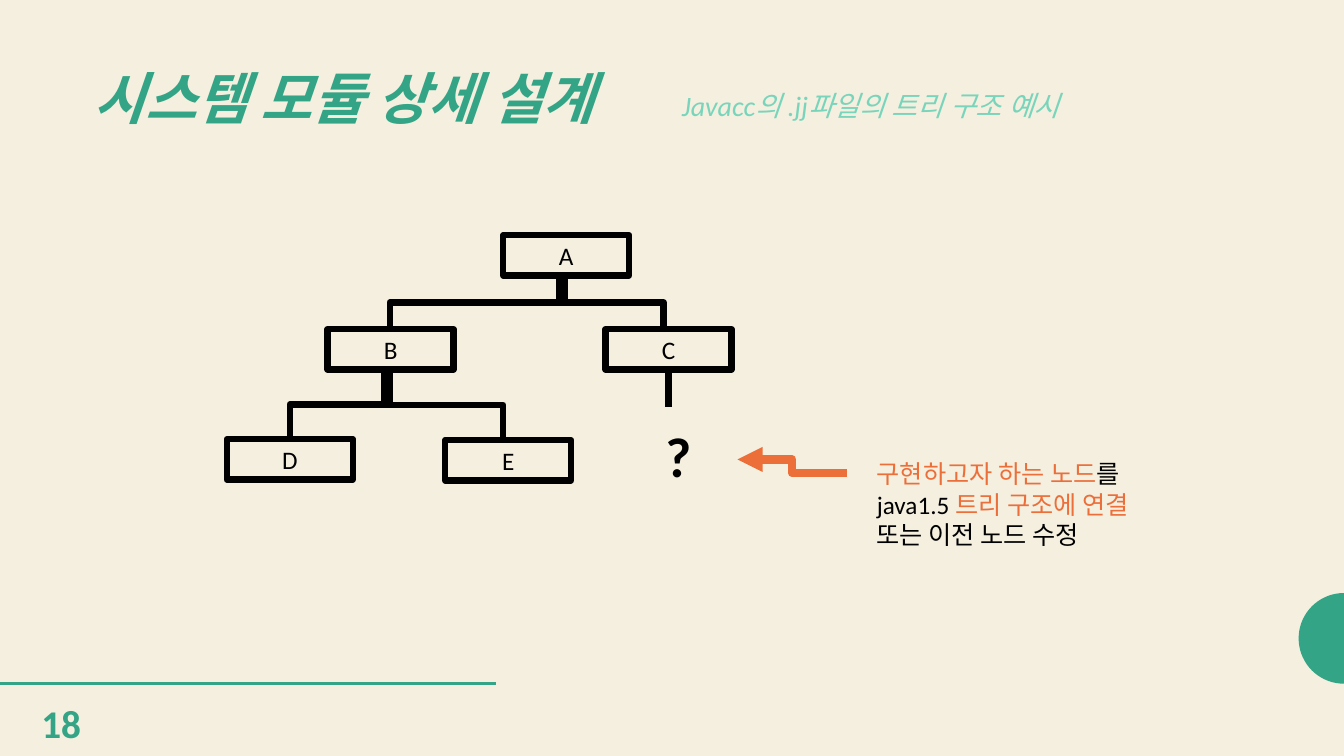
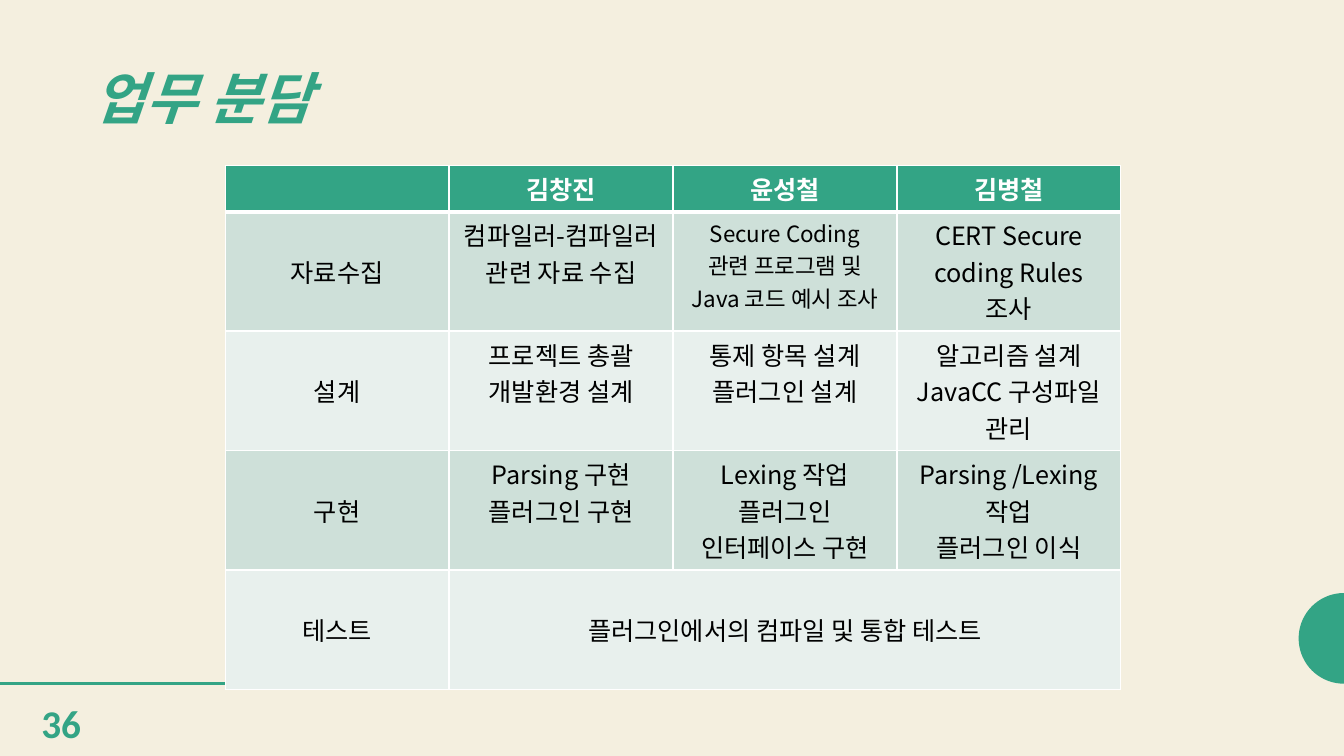
from math import cos, pi, sin

from lxml.etree import SubElement
from pptx import Presentation
from pptx.dml.color import RGBColor
from pptx.enum.shapes import MSO_CONNECTOR as Connector, MSO_SHAPE as Shape
from pptx.enum.text import MSO_ANCHOR as Anchor, PP_ALIGN as Align
from pptx.oxml.ns import qn
from pptx.util import Inches, Pt

COLUMNS, ROWS = 160, 90
UNIT = Inches(1) / 12
COLORS = {
    "paper": "F4EFDF", "green": "33A485", "mint": "78D5BB", "orange": "EC6E39",
    "black": "000000", "white": "FFFFFF", "band": "CEE0D9", "pale": "E8F0ED",
}
LATIN, KOREAN = "Calibri", "Noto Sans CJK KR"
NODE_WIDTH, NODE_HEIGHT = 15, 4.8
TREE_LINE = 4.5


def color(name):
    return RGBColor.from_string(COLORS[name])


def grid(*lengths):
    return [round(length * UNIT) for length in lengths]


def write(frame, lines, size, ink="black", name=LATIN, align=Align.LEFT,
          bold=False, italic=False, spacing=None):
    """Fill a text frame; a line is a string or a list of (text, colour) runs."""
    for index, line in enumerate(lines):
        paragraph = frame.add_paragraph() if index else frame.paragraphs[0]
        paragraph.alignment = align
        if spacing:
            paragraph.line_spacing = spacing
        font = paragraph.font
        font.name, font.size, font.bold, font.italic = name, Pt(size), bold, italic
        font.color.rgb = color(ink)
        defaults = paragraph._p.pPr.find(qn("a:defRPr"))
        SubElement(defaults, qn("a:ea")).set("typeface", name)
        for text, run_ink in [(line, None)] if isinstance(line, str) else line:
            run = paragraph.add_run()
            run.text = text
            if run_ink:
                run.font.color.rgb = color(run_ink)


def add_text(slide, box, lines, size, anchor=Anchor.TOP, wrap=True, **style):
    frame = slide.shapes.add_textbox(*grid(*box)).text_frame
    frame.word_wrap = wrap
    frame.vertical_anchor = anchor
    write(frame, lines, size, **style)


def add_line(slide, start, end, ink="black", width=TREE_LINE, kind=Connector.STRAIGHT):
    line = slide.shapes.add_connector(kind, *grid(*start, *end))
    line.line.color.rgb = color(ink)
    line.line.width = Pt(width)
    SubElement(line._element.spPr, qn("a:effectLst"))
    return line


def add_branch(slide, start, end):
    """Elbow that leaves downwards: a sideways elbow turned by a quarter."""
    (left, top), (right, bottom) = start, end
    middle_x, middle_y = (left + right) / 2, (top + bottom) / 2
    half_width, half_height = abs(right - left) / 2, (bottom - top) / 2
    branch = add_line(slide, (middle_x - half_height, middle_y - half_width),
                      (middle_x + half_height, middle_y + half_width),
                      kind=Connector.ELBOW)
    if right > left:
        branch._element.spPr.xfrm.set("flipH", "1")
    quarter_turns = 3 if right > left else 1
    branch._element.spPr.xfrm.set("rot", str(quarter_turns * 90 * 60000))


def add_node(slide, label, left, top):
    node = slide.shapes.add_shape(
        Shape.RECTANGLE, *grid(left, top, NODE_WIDTH, NODE_HEIGHT))
    node.shadow.inherit = False
    node.fill.background()
    node.line.color.rgb = color("black")
    node.line.width = Pt(TREE_LINE)
    node.text_frame.vertical_anchor = Anchor.MIDDLE
    write(node.text_frame, [label], 18, align=Align.CENTER)
    return node


def add_half_disc(slide, center_y, radius, steps=36):
    points = [grid(COLUMNS - radius * sin(pi * step / steps),
                   center_y - radius * cos(pi * step / steps))
              for step in range(steps + 1)]
    builder = slide.shapes.build_freeform(*points[0])
    builder.add_line_segments(points[1:], close=True)
    disc = builder.convert_to_shape()
    disc.shadow.inherit = False
    disc.fill.solid()
    disc.fill.fore_color.rgb = color("green")
    disc.line.fill.background()


def add_page(presentation, title, number):
    slide = presentation.slides.add_slide(presentation.slide_layouts[6])
    add_half_disc(slide, 76, 5.4)
    add_line(slide, (0, 81.4), (59, 81.4), "green", 2)
    add_text(slide, (10, 7.3, 68, 9.5), [title], 40, Anchor.MIDDLE,
             ink="green", bold=True, italic=True, spacing=0.9)
    add_text(slide, (3.75, 82.6, 10, 6.8), [str(number)], 28, ink="green", bold=True)
    return slide


def set_borders(cell, bottom):
    properties = cell._tc.get_or_add_tcPr()
    for index, (side, width) in enumerate(
            [("lnL", 1), ("lnR", 1), ("lnT", 1), ("lnB", bottom)]):
        border = SubElement(properties, qn(f"a:{side}"), w=str(Pt(width)))
        fill = SubElement(border, qn("a:solidFill"))
        SubElement(fill, qn("a:srgbClr"), val=COLORS["white"])
        properties.insert(index, border)


def add_duty_table(slide, rows, left, top, column_width, header_height, row_height):
    column_count = len(rows[0])
    height = header_height + row_height * (len(rows) - 1)
    table = slide.shapes.add_table(
        len(rows), column_count,
        *grid(left, top, column_width * column_count, height)).table
    table.first_row = table.horz_banding = False
    for row_index, row in enumerate(rows):
        header = row_index == 0
        table.rows[row_index].height = grid(header_height if header else row_height)[0]
        fill = "green" if header else ("pale", "band")[row_index % 2]
        for column_index in range(column_count):
            cell = table.cell(row_index, column_index)
            cell.fill.solid()
            cell.fill.fore_color.rgb = color(fill)
            set_borders(cell, 3 if header else 1)
            if column_index >= len(row):
                continue
            lines = row[column_index]
            single = len(lines) == 1
            cell.vertical_anchor = Anchor.MIDDLE if single else Anchor.TOP
            size = 16 if lines[0] == "Secure Coding" else 18
            write(cell.text_frame, lines, size, "white" if header else "black",
                  KOREAN, Align.CENTER, bold=header)
        if len(row) < column_count:
            table.cell(row_index, len(row) - 1).merge(
                table.cell(row_index, column_count - 1))


def build_tree_page(presentation):
    slide = add_page(presentation, "시스템 모듈 상세 설계", 18)
    add_text(slide, (80, 9.9, 79, 7), ["Javacc의 .jj파일의 트리 구조 예시"], 20,
             ink="mint", italic=True)
    nodes = {label: add_node(slide, label, left, top) for label, left, top in [
        ("A", 59.9, 28), ("B", 39, 39.2), ("C", 72.1, 39.2),
        ("D", 27, 52.3), ("E", 53, 52.4)]}
    for start, end in [((67.3, 32.8), (46.4, 39.2)), ((66.6, 32.8), (79, 39.2)),
                       ((45.7, 44), (59.9, 52.4)), ((46.4, 44), (34.5, 52.3))]:
        add_branch(slide, start, end)
    stem = add_line(slide, (79.6, 44), (79.6, 48.5))
    stem.begin_connect(nodes["C"], 2)
    add_text(slide, (76, 49.6, 9.5, 9.2), ["?"], 40, align=Align.CENTER, bold=True)
    arrow = add_line(slide, (100.8, 56.3), (87.8, 54.7), "orange", 6, Connector.ELBOW)
    SubElement(arrow.line._get_or_add_ln(), qn("a:tailEnd"), type="triangle")
    add_text(slide, (103.2, 54, 37.2, 12.1), [
        [("구현하고자 하는 노드", "orange"), ("를", None)],
        [("java1.5 ", None), ("트리 구조에 연결", "orange")],
        "또는 이전 노드 수정"], 18, wrap=False)


def build_duty_page(presentation):
    slide = add_page(presentation, "업무 분담", 36)
    rows = [
        [[""], ["김창진"], ["윤성철"], ["김병철"]],
        [["자료수집"], ["컴파일러-컴파일러", "관련 자료 수집"],
         ["Secure Coding", "관련 프로그램 및 Java 코드 예시 조사"],
         ["CERT Secure coding Rules", "조사"]],
        [["설계"], ["프로젝트 총괄", "개발환경 설계"], ["통제 항목 설계", "플러그인 설계"],
         ["알고리즘 설계", "JavaCC 구성파일", "관리"]],
        [["구현"], ["Parsing 구현", "플러그인 구현"],
         ["Lexing 작업", "플러그인", "인터페이스 구현"],
         ["Parsing /Lexing 작업", "플러그인 이식"]],
        [["테스트"], ["플러그인에서의 컴파일 및 통합 테스트"]],
    ]
    add_duty_table(slide, rows, 26.8, 19.7, 26.66, 5.5, 14.22)


def main():
    presentation = Presentation()
    presentation.slide_width, presentation.slide_height = grid(COLUMNS, ROWS)
    background = presentation.slide_master.background.fill
    background.solid()
    background.fore_color.rgb = color("paper")
    build_tree_page(presentation)
    build_duty_page(presentation)
    presentation.save("out.pptx")


if __name__ == "__main__":
    main()
